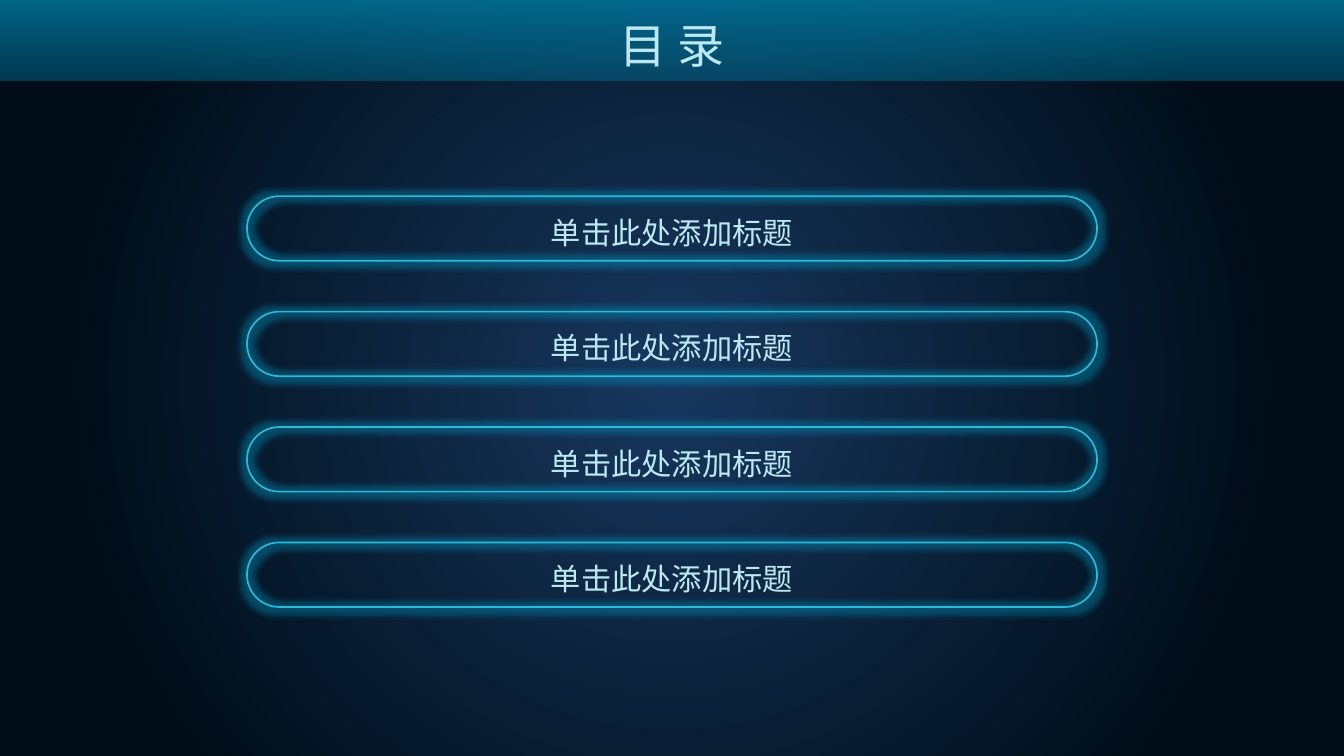
from dataclasses import dataclass

from lxml import etree
from pptx import Presentation
from pptx.dml.color import RGBColor
from pptx.dml.fill import FillFormat
from pptx.enum.shapes import MSO_SHAPE
from pptx.enum.text import MSO_ANCHOR, MSO_AUTO_SIZE, PP_ALIGN
from pptx.oxml.ns import qn
from pptx.slide import Slide
from pptx.text.text import TextFrame
from pptx.util import Pt

RECTANGLE = MSO_SHAPE.RECTANGLE
ROUNDED = MSO_SHAPE.ROUNDED_RECTANGLE
TOP = MSO_ANCHOR.TOP
MIDDLE = MSO_ANCHOR.MIDDLE
NO_AUTO_SIZE = MSO_AUTO_SIZE.NONE
CENTER = PP_ALIGN.CENTER

FONT = "Noto Sans CJK SC"
COLORS = {
    "center": "17375E",
    "edge": "000D18",
    "header": "007DA4",
    "outline": "30B8D8",
    "glow": "0096C0",
    "text": "BCE8F2",
}
SLIDE_WIDTH = 800
SLIDE_HEIGHT = 450
PILL_WIDTH = 506
PILL_HEIGHT = 38.4
LABEL_WIDTH = 224
LABEL_HEIGHT = 28.8
LABEL_OFFSET = 7
FIRST_TOP = 116.8
PITCH = 68.7


@dataclass
class Stop:
    position: int
    color: str
    opacity: int = 100


@dataclass
class Entry:
    text: str
    top: float


ENTRIES = [Entry("单击此处添加标题", FIRST_TOP + PITCH * row) for row in range(4)]


def add_color(parent: etree._Element, color: str, opacity: int) -> None:
    node = etree.SubElement(parent, qn("a:srgbClr"), val=COLORS[color])
    if opacity < 100:
        etree.SubElement(node, qn("a:alpha"), val=str(opacity * 1000))


def paint_gradient(
    fill: FillFormat, owner: etree._Element, stops: list[Stop], circular: bool
) -> None:
    fill.gradient()
    gradient = next(owner.iter(qn("a:gradFill")))
    for child in list(gradient):
        gradient.remove(child)
    stop_list = etree.SubElement(gradient, qn("a:gsLst"))
    for stop in stops:
        node = etree.SubElement(stop_list, qn("a:gs"), pos=str(stop.position * 1000))
        add_color(node, stop.color, stop.opacity)
    if circular:
        circle = etree.SubElement(gradient, qn("a:path"), path="circle")
        etree.SubElement(
            circle, qn("a:fillToRect"), {side: "50000" for side in "ltrb"}
        )
    else:
        etree.SubElement(gradient, qn("a:lin"), ang="5400000", scaled="0")


def write_text(
    frame: TextFrame, text: str, size: float, anchor: MSO_ANCHOR, margin_top: float
) -> None:
    frame.text = text
    frame.word_wrap = True
    frame.auto_size = NO_AUTO_SIZE
    frame.vertical_anchor = anchor
    frame.margin_top = Pt(margin_top)
    frame.margin_bottom = Pt(0)
    para = frame.paragraphs[0]
    para.alignment = CENTER
    para.line_spacing = 1.0
    para.space_before = Pt(0)
    for span in para.runs:
        span.font.size = Pt(size)
        span.font.name = FONT
        span.font.color.rgb = RGBColor.from_string(COLORS["text"])
        etree.SubElement(span.font._element, qn("a:ea"), typeface=FONT)


def add_header(slide: Slide) -> None:
    header = slide.shapes.add_shape(RECTANGLE, 0, 0, Pt(SLIDE_WIDTH), Pt(48.2))
    header.shadow.inherit = False
    header.line.fill.background()
    stops = [Stop(0, "header", 80), Stop(100, "header", 39)]
    paint_gradient(header.fill, header.element, stops, circular=False)
    title = slide.shapes.title
    title.element.addprevious(header.element)
    title.left, title.top = Pt(340.6), Pt(3.6)
    title.width, title.height = Pt(118.8), Pt(48.2)
    write_text(title.text_frame, "目 录", 28, TOP, 6)


def add_entry(slide: Slide, entry: Entry) -> None:
    group = slide.shapes.add_group_shape()
    pill = group.shapes.add_shape(
        ROUNDED,
        Pt((SLIDE_WIDTH - PILL_WIDTH) / 2),
        Pt(entry.top),
        Pt(PILL_WIDTH),
        Pt(PILL_HEIGHT),
    )
    pill.adjustments[0] = 0.5
    pill.fill.background()
    pill.line.color.rgb = RGBColor.from_string(COLORS["outline"])
    pill.line.width = Pt(1)
    pill.shadow.inherit = False
    effects = next(pill.element.iter(qn("a:effectLst")))
    glow = etree.SubElement(effects, qn("a:glow"), rad=str(Pt(8)))
    add_color(glow, "glow", 40)
    label = group.shapes.add_textbox(
        Pt((SLIDE_WIDTH - LABEL_WIDTH) / 2),
        Pt(entry.top + LABEL_OFFSET),
        Pt(LABEL_WIDTH),
        Pt(LABEL_HEIGHT),
    )
    write_text(label.text_frame, entry.text, 18, MIDDLE, 0)


def main() -> None:
    deck = Presentation()
    deck.slide_width = Pt(SLIDE_WIDTH)
    deck.slide_height = Pt(SLIDE_HEIGHT)
    slide = deck.slides.add_slide(deck.slide_layouts.get_by_name("Title Only"))
    stops = [Stop(0, "center"), Stop(80, "edge")]
    paint_gradient(slide.background.fill, slide.element, stops, circular=True)
    add_header(slide)
    for entry in ENTRIES:
        add_entry(slide, entry)
    deck.save("out.pptx")


if __name__ == "__main__":
    main()
